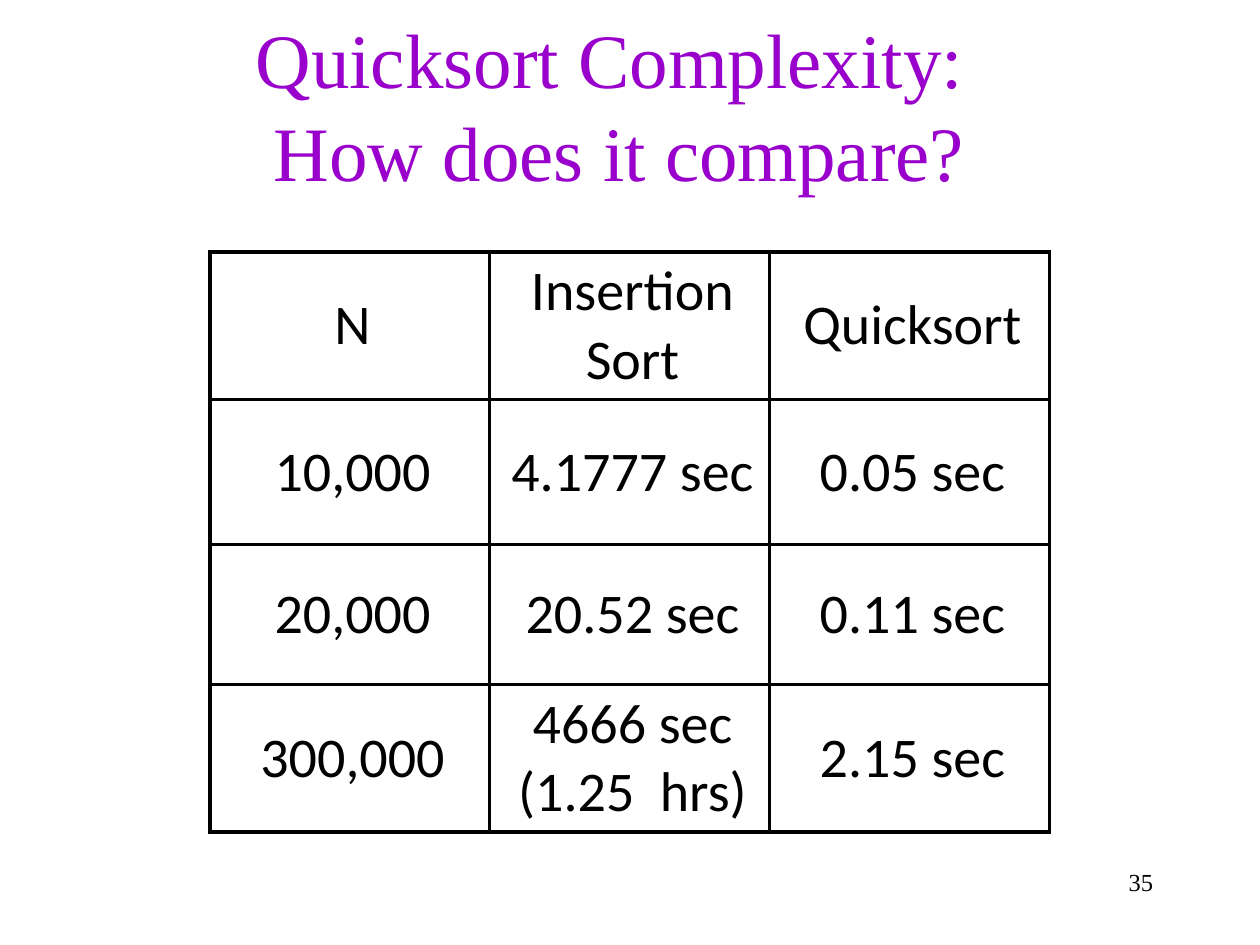
from dataclasses import dataclass

from lxml import etree
from pptx import Presentation
from pptx.dml.color import RGBColor
from pptx.enum import text
from pptx.oxml import ns
from pptx.util import Pt


@dataclass(frozen=True)
class Theme:
    title_color: RGBColor = RGBColor(0x99, 0x00, 0xCC)
    ink: RGBColor = RGBColor(0, 0, 0)
    serif: str = "Times New Roman"
    sans: str = "Calibri"
    title_size: int = 44
    cell_size: int = 32
    number_size: int = 14
    border_width: int = 2


THEME = Theme()
ROWS = [
    ("N", "Insertion Sort", "Quicksort"),
    ("10,000", "4.1777 sec", "0.05 sec"),
    ("20,000", "20.52 sec", "0.11 sec"),
    ("300,000", "4666 sec (1.25  hrs)", "2.15 sec"),
]
ROW_HEIGHTS = [83, 83, 80, 83]
COLUMN_WIDTH = 160


def apply_format(target, values):
    for name, value in values.items():
        setattr(target, name, value)


def format_paragraph(paragraph, alignment, name, size, color):
    paragraph.alignment = alignment
    for run in paragraph.runs:
        apply_format(run.font, {"name": name, "size": Pt(size), "bold": False})
        run.font.color.rgb = color


def add_title(slide, wording):
    title = slide.shapes.title
    apply_format(title, {"left": Pt(6), "top": Pt(1),
                         "width": Pt(696), "height": Pt(117)})
    frame = title.text_frame
    frame.text = wording
    apply_format(frame, {"vertical_anchor": text.MSO_ANCHOR.MIDDLE,
                         "word_wrap": True, "auto_size": text.MSO_AUTO_SIZE.NONE})
    format_paragraph(frame.paragraphs[0], text.PP_ALIGN.CENTER,
                     THEME.serif, THEME.title_size, THEME.title_color)


def add_borders(cell):
    properties = cell._tc.get_or_add_tcPr()
    # Border lines come before the fill in the cell properties
    for index, side in enumerate(("a:lnL", "a:lnR", "a:lnT", "a:lnB")):
        line = etree.Element(ns.qn(side), w=str(Pt(THEME.border_width)))
        fill = etree.SubElement(line, ns.qn("a:solidFill"))
        etree.SubElement(fill, ns.qn("a:srgbClr"), val=str(THEME.ink))
        properties.insert(index, line)


def format_cell(cell, wording):
    cell.text = wording
    margins = {f"margin_{side}": Pt(3) for side in ("left", "right", "top", "bottom")}
    apply_format(cell, {"vertical_anchor": text.MSO_ANCHOR.MIDDLE, **margins})
    cell.fill.background()
    add_borders(cell)
    paragraph = cell.text_frame.paragraphs[0]
    paragraph._p.get_or_add_pPr().set("marL", str(Pt(3)))
    format_paragraph(paragraph, text.PP_ALIGN.CENTER,
                     THEME.sans, THEME.cell_size, THEME.ink)


def add_timing_table(slide):
    columns = len(ROWS[0])
    table = slide.shapes.add_table(
        len(ROWS), columns, Pt(120), Pt(144),
        Pt(columns * COLUMN_WIDTH), Pt(sum(ROW_HEIGHTS))).table
    apply_format(table, {"first_row": False, "horz_banding": False})
    for column in table.columns:
        column.width = Pt(COLUMN_WIDTH)
    for row, height, wordings in zip(table.rows, ROW_HEIGHTS, ROWS):
        row.height = Pt(height)
        for cell, wording in zip(row.cells, wordings):
            format_cell(cell, wording)


def add_slide_number(slide, number):
    frame = slide.shapes.add_textbox(Pt(516), Pt(492), Pt(150), Pt(36)).text_frame
    frame.text = number
    frame.word_wrap = True
    format_paragraph(frame.paragraphs[0], text.PP_ALIGN.RIGHT,
                     THEME.serif, THEME.number_size, THEME.ink)


def main():
    presentation = Presentation()
    apply_format(presentation, {"slide_width": Pt(720), "slide_height": Pt(540)})
    slide = presentation.slides.add_slide(presentation.slide_layouts[5])

    # Heading, with a line break inside one paragraph
    add_title(slide, "Quicksort Complexity: \vHow does it compare?")
    # Running times
    add_timing_table(slide)
    # Footer
    add_slide_number(slide, "35")

    presentation.save("out.pptx")


if __name__ == "__main__":
    main()
